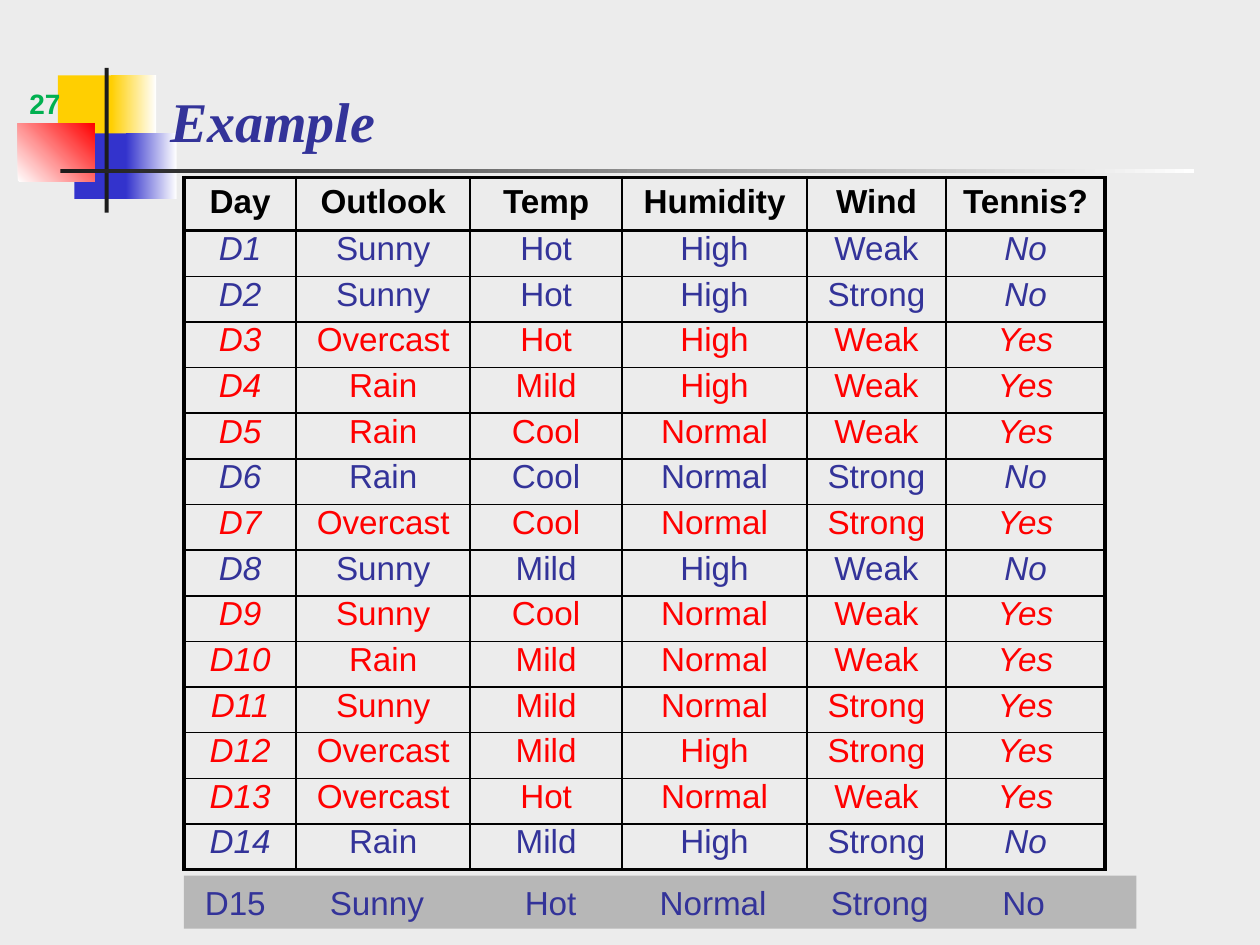
from typing import NamedTuple, Optional

from lxml import etree
from pptx import Presentation
from pptx import util as u
from pptx.dml.color import RGBColor
from pptx.enum import shapes, text
from pptx.oxml import ns

Cm, Pt = u.Cm, u.Pt

PAPER = RGBColor(0xEC, 0xEC, 0xEC)
WHITE = RGBColor(0xFF, 0xFF, 0xFF)
BLACK = RGBColor(0x00, 0x00, 0x00)
CHARCOAL = RGBColor(0x1C, 0x1C, 0x1C)
YELLOW = RGBColor(0xFF, 0xCF, 0x01)
BLUE = RGBColor(0x33, 0x33, 0xCC)
INDIGO = RGBColor(0x33, 0x33, 0x99)
RED = RGBColor(0xFF, 0x00, 0x00)
GREEN = RGBColor(0x00, 0xB0, 0x50)
GREY = RGBColor(0xB7, 0xB7, 0xB7)


class Block(NamedTuple):
    left: float
    top: float
    width: float
    height: float
    color: RGBColor
    fade_to: Optional[RGBColor] = None
    angle: float = 0


class Style(NamedTuple):
    size: float
    color: RGBColor
    bold: bool = False
    italic: bool = False
    font: str = "Arial"


ORNAMENT = [
    Block(1.17, 1.52, 1.22, 1.32, YELLOW),
    Block(2.24, 1.52, 0.91, 1.32, YELLOW, WHITE),
    Block(1.5, 2.69, 1.17, 1.32, BLUE),
    Block(2.54, 2.69, 1.02, 1.32, BLUE, WHITE),
    Block(0.36, 2.49, 1.55, 1.17, WHITE, RED, 45),
    Block(2.11, 1.37, 0.08, 2.92, CHARCOAL),
    Block(1.22, 3.4, 22.86, 0.08, CHARCOAL, WHITE),
]

HEADERS = ["Day", "Outlook", "Temp", "Humidity", "Wind", "Tennis?"]
DAYS = [
    ("Sunny", "Hot", "High", "Weak", "No"),
    ("Sunny", "Hot", "High", "Strong", "No"),
    ("Overcast", "Hot", "High", "Weak", "Yes"),
    ("Rain", "Mild", "High", "Weak", "Yes"),
    ("Rain", "Cool", "Normal", "Weak", "Yes"),
    ("Rain", "Cool", "Normal", "Strong", "No"),
    ("Overcast", "Cool", "Normal", "Strong", "Yes"),
    ("Sunny", "Mild", "High", "Weak", "No"),
    ("Sunny", "Cool", "Normal", "Weak", "Yes"),
    ("Rain", "Mild", "Normal", "Weak", "Yes"),
    ("Sunny", "Mild", "Normal", "Strong", "Yes"),
    ("Overcast", "Mild", "High", "Strong", "Yes"),
    ("Overcast", "Hot", "Normal", "Weak", "Yes"),
    ("Rain", "Mild", "High", "Strong", "No"),
]
NEW_DAY = ["D15", "Sunny", "Hot", "Normal", "Strong", "No"]
NEW_DAY_TABS = [2.52, 6.45, 9.17, 12.62, 16.08]

COLUMN_WIDTHS = [2.26, 3.51, 3.06, 3.73, 2.8, 3.21]
HEADER_HEIGHT, ROW_HEIGHT = 1.07, 0.92
TABLE_LEFT, TABLE_TOP = 3.71, 3.58
THIN, THICK = 1, 2.25


def add_span(para, words: str, style: Style) -> None:
    span = para.add_run()
    span.text = words
    font = span.font
    font.name, font.size = style.font, Pt(style.size)
    font.bold, font.italic = style.bold, style.italic
    font.color.rgb = style.color


def add_block(page, block: Block):
    shape = page.shapes.add_shape(
        shapes.MSO_SHAPE.RECTANGLE, Cm(block.left), Cm(block.top),
        Cm(block.width), Cm(block.height))
    shape.shadow.inherit = False
    shape.line.fill.background()
    if block.fade_to is None:
        shape.fill.solid()
        shape.fill.fore_color.rgb = block.color
    else:
        shape.fill.gradient()
        shape.fill.gradient_angle = block.angle
        ends = zip(shape.fill.gradient_stops, (block.color, block.fade_to), (0, 1))
        for stop, color, position in ends:
            stop.color.rgb = color
            stop.position = position
    return shape


def add_label(page, left: float, top: float, width: float, height: float,
              words: str, style: Style, align) -> None:
    box = page.shapes.add_textbox(Cm(left), Cm(top), Cm(width), Cm(height))
    frame = box.text_frame
    frame.word_wrap = True
    frame.vertical_anchor = text.MSO_ANCHOR.BOTTOM
    frame.paragraphs[0].alignment = align
    add_span(frame.paragraphs[0], words, style)


def set_borders(cell, **widths: float) -> None:
    """Draw black cell borders; the keys are L, R, T and B."""
    properties = cell._tc.get_or_add_tcPr()
    for side in "LRTB":
        line = etree.SubElement(properties, ns.qn(f"a:ln{side}"), w=str(Pt(widths[side])))
        fill = etree.SubElement(line, ns.qn("a:solidFill"))
        etree.SubElement(fill, ns.qn("a:srgbClr"), val=str(BLACK))


def add_days_table(page) -> None:
    rows = [HEADERS] + [[f"D{n}", *day] for n, day in enumerate(DAYS, 1)]
    last_row, last_column = len(rows) - 1, len(HEADERS) - 1
    table = page.shapes.add_table(
        len(rows), len(HEADERS), Cm(TABLE_LEFT), Cm(TABLE_TOP),
        Cm(sum(COLUMN_WIDTHS)), Cm(HEADER_HEIGHT + ROW_HEIGHT * last_row)).table
    table.first_row = table.horz_banding = False
    for column, width in zip(table.columns, COLUMN_WIDTHS):
        column.width = Cm(width)

    for r, values in enumerate(rows):
        table.rows[r].height = Cm(ROW_HEIGHT if r else HEADER_HEIGHT)
        color = RED if values[-1] == "Yes" else INDIGO
        for c, value in enumerate(values):
            cell = table.cell(r, c)
            set_borders(cell,
                        L=THICK if c == 0 else THIN,
                        R=THICK if c == last_column else THIN,
                        T=THICK if r <= 1 else THIN,
                        B=THICK if r in (0, last_row) else THIN)
            cell.fill.background()
            para = cell.text_frame.paragraphs[0]
            para.alignment = text.PP_ALIGN.CENTER
            if r == 0:
                para.space_before = Pt(3.8)
                add_span(para, value, Style(19, BLACK, bold=True))
            else:
                para.line_spacing = 0.8
                add_span(para, value, Style(19, color, italic=c in (0, last_column)))


def add_new_day(page) -> None:
    bar = add_block(page, Block(TABLE_LEFT, 17.65, 19.2, 1.07, GREY))
    frame = bar.text_frame
    frame.margin_left = Cm(0.42)
    frame.vertical_anchor = text.MSO_ANCHOR.MIDDLE
    para = frame.paragraphs[0]
    para.alignment = text.PP_ALIGN.LEFT
    stops = etree.SubElement(para._p.get_or_add_pPr(), ns.qn("a:tabLst"))
    for position in NEW_DAY_TABS:
        etree.SubElement(stops, ns.qn("a:tab"), pos=str(Cm(position)), algn="l")
    add_span(para, "\t".join(NEW_DAY), Style(19, INDIGO))


def main() -> None:
    deck = Presentation()
    deck.slide_width, deck.slide_height = Cm(25.4), Cm(19.05)
    page = deck.slides.add_slide(deck.slide_layouts[6])
    page.background.fill.solid()
    page.background.fill.fore_color.rgb = PAPER

    # Corner ornament and rule
    for block in ORNAMENT:
        add_block(page, block)

    # Title and page number
    add_label(page, 3.18, 0.99, 21.66, 2.24, "Example",
              Style(32, INDIGO, True, True, "Times New Roman"), text.PP_ALIGN.LEFT)
    add_label(page, 0, 1.7, 1.47, 0.84, "27",
              Style(16, GREEN, bold=True), text.PP_ALIGN.RIGHT)

    # Training days and the new day below them
    add_days_table(page)
    add_new_day(page)

    deck.save("out.pptx")


if __name__ == "__main__":
    main()
